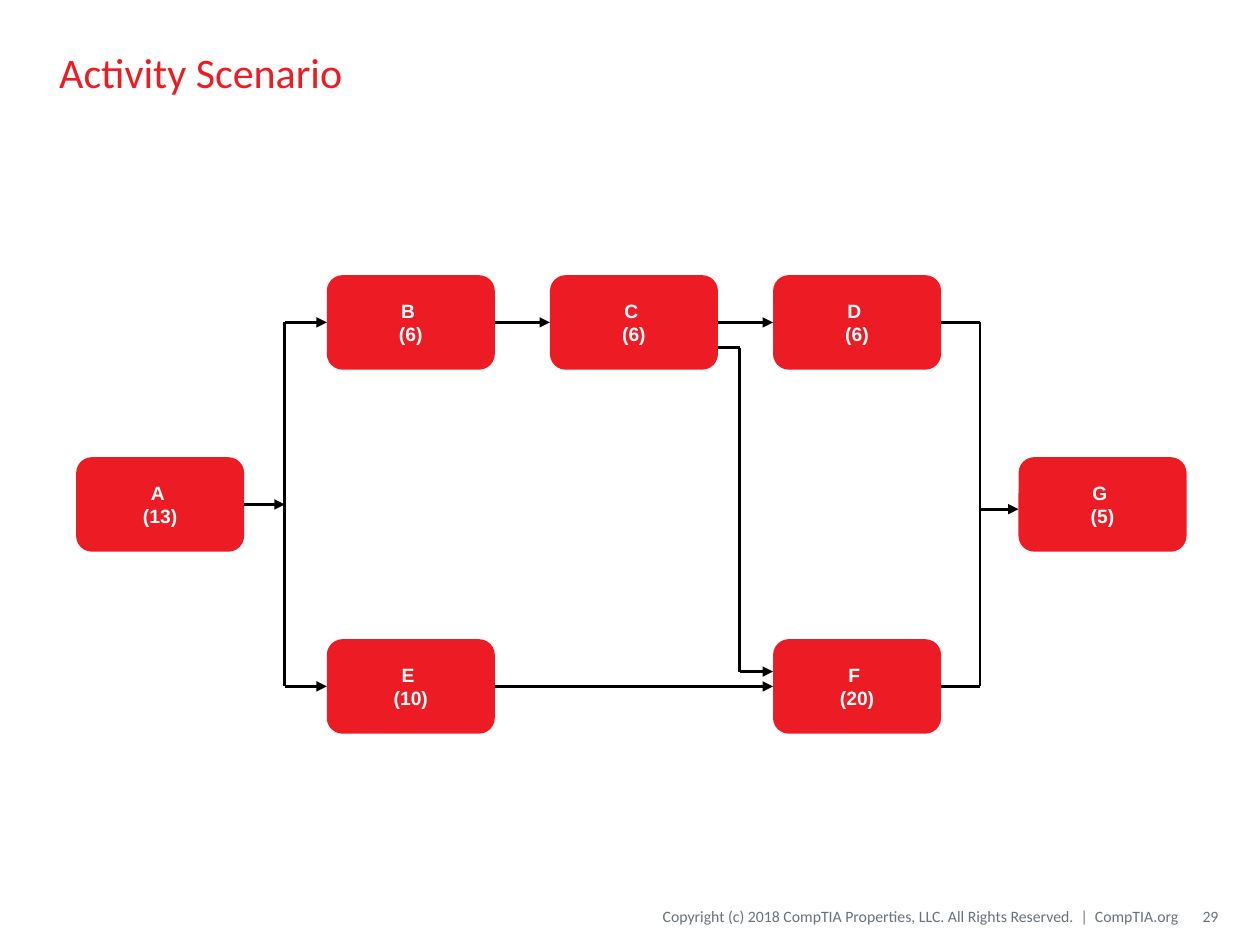
from lxml import etree
from pptx import Presentation
from pptx.dml.color import RGBColor
from pptx.enum.shapes import MSO_CONNECTOR, MSO_SHAPE
from pptx.enum.text import MSO_ANCHOR, PP_ALIGN
from pptx.oxml.ns import qn
from pptx.util import Pt

STRAIGHT = MSO_CONNECTOR.STRAIGHT
ROUNDED = MSO_SHAPE.ROUNDED_RECTANGLE
MIDDLE = MSO_ANCHOR.MIDDLE
LEFT, CENTER, RIGHT = PP_ALIGN.LEFT, PP_ALIGN.CENTER, PP_ALIGN.RIGHT
LEFT_SIDE, RIGHT_SIDE = 1, 3

BOX_W, BOX_H = 96, 54


def color(hex_string):
    return RGBColor.from_string(hex_string)


def write(frame, text, *, size, font, ink, bold=False, align=LEFT, insets=None):
    """Fill a text frame, one paragraph per line of text."""
    frame.word_wrap = True
    frame.vertical_anchor = MIDDLE
    if insets:
        (frame.margin_left, frame.margin_top,
         frame.margin_right, frame.margin_bottom) = map(Pt, insets)
    frame.text = text
    for paragraph in frame.paragraphs:
        paragraph.alignment = align
        paragraph.font.size = Pt(size)
        paragraph.font.name = font
        paragraph.font.bold = bold
        paragraph.font.color.rgb = color(ink)


class NetworkSlide:
    RED, WHITE, BLACK, GRAY = "ED1C24", "FFFFFF", "000000", "69727B"
    HEADING_FONT, BOX_FONT = "Calibri", "Arial"
    LINE_WIDTH = 1.5

    def __init__(self, slide):
        self.slide = slide

    def title(self, text, x, y, w, h):
        heading = self.slide.shapes.title
        heading.left, heading.top, heading.width, heading.height = map(Pt, (x, y, w, h))
        write(heading.text_frame, text, size=24, font=self.HEADING_FONT, ink=self.RED)

    def footer(self, text, x, y, w, h, left_inset=0):
        box = self.slide.shapes.add_textbox(Pt(x), Pt(y), Pt(w), Pt(h))
        write(box.text_frame, text, size=9, font=self.HEADING_FONT, ink=self.GRAY,
              align=RIGHT, insets=(left_inset, 3.6, 0, 3.6))

    def activity(self, name, duration, x, y):
        box = self.slide.shapes.add_shape(ROUNDED, Pt(x), Pt(y), Pt(BOX_W), Pt(BOX_H))
        box.shadow.inherit = False
        box.fill.solid()
        box.fill.fore_color.rgb = color(self.RED)
        box.line.fill.background()
        write(box.text_frame, f"{name} \n({duration})", size=11, font=self.BOX_FONT,
              ink=self.WHITE, bold=True, align=CENTER)
        return box

    def line(self, start, end, arrow=False, source=None, target=None):
        """Draw a line; source and target are boxes joined at right and left."""
        link = self.slide.shapes.add_connector(STRAIGHT, *map(Pt, (*start, *end)))
        if source is not None:
            link.begin_connect(source, RIGHT_SIDE)
        if target is not None:
            link.end_connect(target, LEFT_SIDE)
        link.line.color.rgb = color(self.BLACK)
        link.line.width = Pt(self.LINE_WIDTH)
        if arrow:
            etree.SubElement(link.line._get_or_add_ln(), qn("a:tailEnd"), type="triangle")
        etree.SubElement(link._element.spPr, qn("a:effectLst"))


def main():
    prs = Presentation()
    prs.slide_width, prs.slide_height = Pt(720), Pt(540)
    page = NetworkSlide(prs.slides.add_slide(prs.slide_layouts[5]))

    # Title and footer
    page.title("Activity Scenario", 26.64, 7.92, 666, 66.24)
    page.footer("Copyright (c) 2018 CompTIA Properties, LLC. All Rights Reserved.  |  CompTIA.org",
                279.36, 512.64, 393.84, 21.6)
    page.footer("29", 675.36, 512.64, 20.88, 21.6, left_inset=7.2)

    # Activities: three middle columns between the first and last activity
    first_x, last_x = 43.5, 582
    col_b, col_c, col_d = (186.75 + 127.5 * i for i in range(3))
    top_y, middle_y, bottom_y = (157.25 + 104 * i for i in range(3))
    plan = {
        "A": (13, first_x, middle_y),
        "B": (6, col_b, top_y),
        "C": (6, col_c, top_y),
        "D": (6, col_d, top_y),
        "E": (10, col_b, bottom_y),
        "F": (20, col_d, bottom_y),
        "G": (5, last_x, middle_y),
    }
    boxes = {name: page.activity(name, *details) for name, details in plan.items()}

    def left_of(name):
        _, x, y = plan[name]
        return x, y + BOX_H / 2

    def right_of(name):
        x, y = left_of(name)
        return x + BOX_W, y

    # Direct dependencies
    for before, after in ("BC", "CD", "EF"):
        page.line(right_of(before), left_of(after), arrow=True,
                  source=boxes[before], target=boxes[after])

    # A splits into B and E
    split_x, merge_x = 162.75, 560
    top_mid, center_mid, bottom_mid = (y + BOX_H / 2 for y in (top_y, middle_y, bottom_y))
    page.line((split_x, top_mid), (split_x, bottom_mid))
    page.line(right_of("A"), (split_x, center_mid), arrow=True, source=boxes["A"])
    for name in "BE":
        page.line((split_x, left_of(name)[1]), left_of(name), arrow=True, target=boxes[name])

    # D and F merge into G
    merge_y = 291
    page.line((merge_x, top_mid), (merge_x, bottom_mid))
    for name in "DF":
        page.line(right_of(name), (merge_x, right_of(name)[1]), source=boxes[name])
    page.line((merge_x, merge_y), (last_x, merge_y), arrow=True)

    # C also leads down to F
    drop_x, leave_y, enter_y = 422.75, 198.75, 383.75
    page.line((col_c + BOX_W, leave_y), (drop_x, leave_y))
    page.line((drop_x, leave_y), (drop_x, enter_y))
    page.line((drop_x, enter_y), (col_d, enter_y), arrow=True)

    prs.save("out.pptx")


if __name__ == "__main__":
    main()
